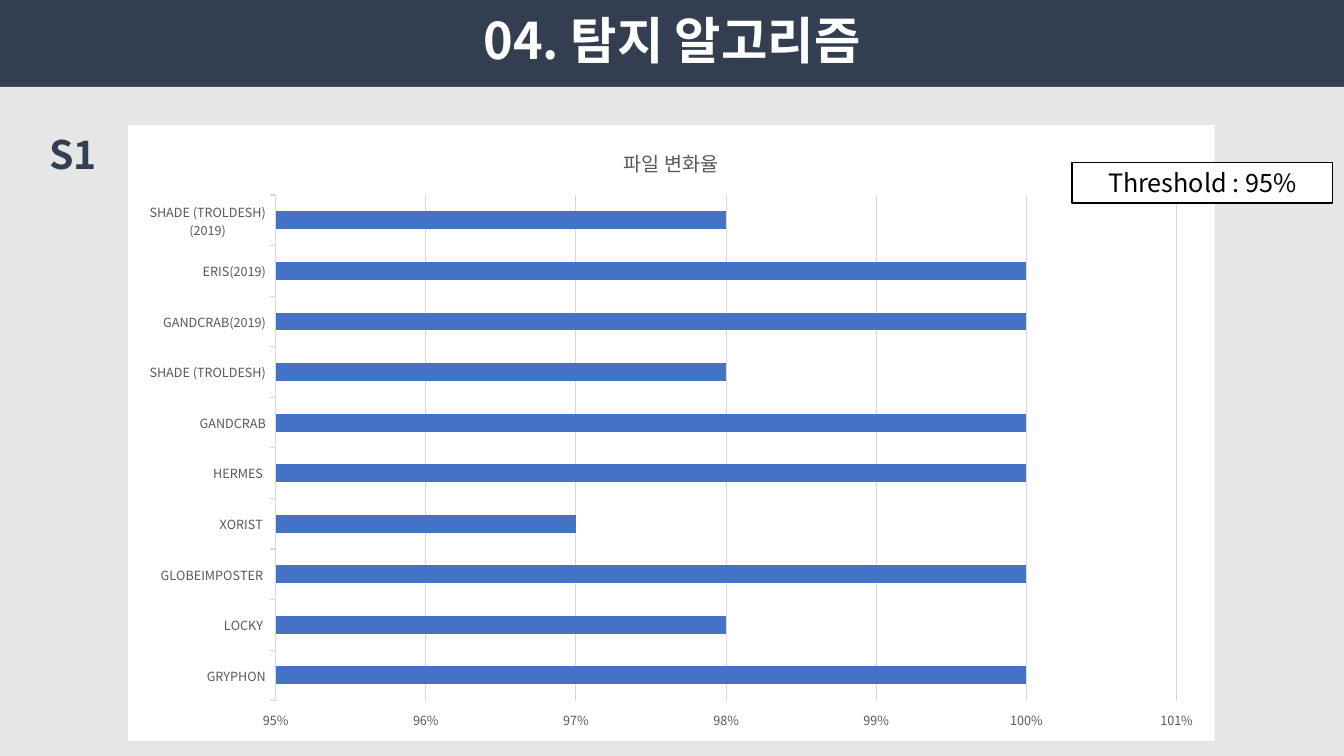
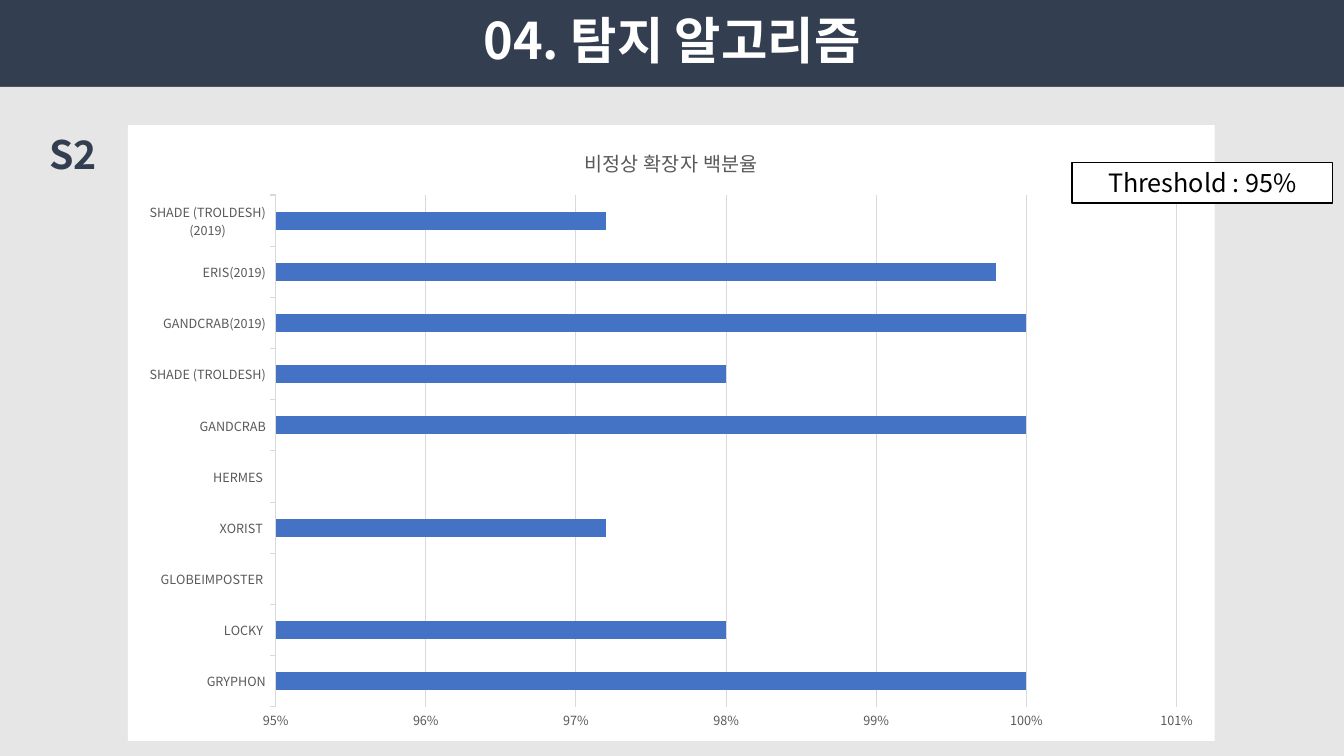
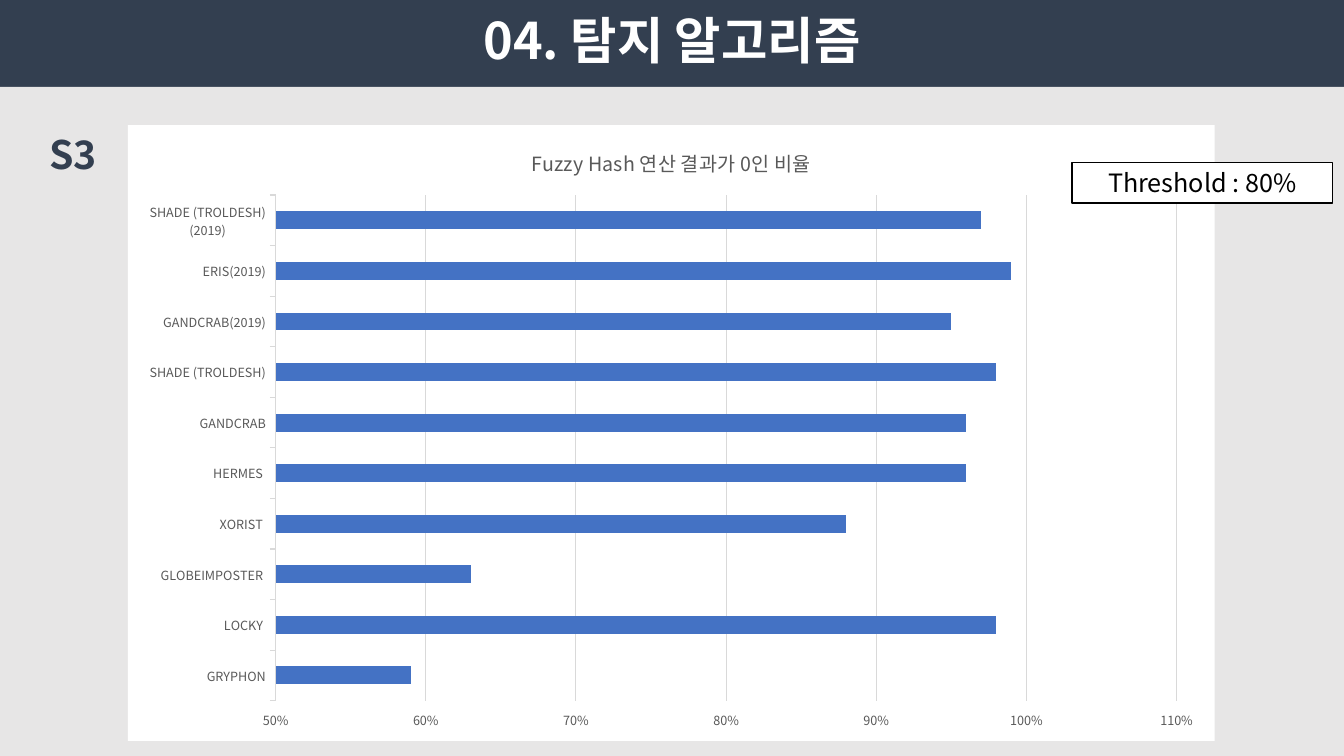
from dataclasses import dataclass

from lxml.etree import SubElement
from pptx import Presentation
from pptx.chart.data import CategoryChartData
from pptx.dml.color import RGBColor as RGB
from pptx.enum.chart import XL_CHART_TYPE as CT, XL_TICK_MARK as TICK
from pptx.enum.shapes import MSO_SHAPE as SHAPE
from pptx.enum.text import MSO_ANCHOR as ANCHOR, PP_ALIGN as ALIGN
from pptx.oxml import parse_xml
from pptx.oxml.ns import nsdecls, qn
from pptx.util import Cm, Pt

TITLE = "04. 탐지 알고리즘"
FAMILIES = ["GRYPHON", "LOCKY ", "GLOBEIMPOSTER ", "XORIST ", "HERMES ",
            "GANDCRAB", "SHADE (TROLDESH)", "GANDCRAB(2019)", "ERIS(2019)",
            "SHADE (TROLDESH) (2019)"]
STAGES = [
    dict(tag="S1", title="파일 변화율", threshold="95%", kind=CT.BAR_STACKED,
         low=0.95, high=1.01, step=0.01, tick=TICK.OUTSIDE,
         values=[1, 0.98, 1, 0.97, 1, 1, 0.98, 1, 1, 0.98]),
    dict(tag="S2", title="비정상 확장자 백분율", threshold="95%", kind=CT.BAR_CLUSTERED,
         low=0.95, high=1.01, step=0.01, tick=TICK.NONE,
         values=[1, 0.98, 0, 0.972, 0, 1, 0.98, 1, 0.998, 0.972]),
    dict(tag="S3", title="Fuzzy Hash 연산 결과가 0인 비율", threshold="80%", kind=CT.BAR_STACKED,
         low=0.5, high=1.1, step=0.1, tick=TICK.OUTSIDE,
         values=[0.59, 0.98, 0.63, 0.88, 0.96, 0.96, 0.98, 0.95, 0.99, 0.97]),
]


@dataclass(frozen=True)
class Theme:
    font: str = "Noto Sans CJK KR"
    navy: str = "333F50"
    panel: str = "E7E6E6"
    white: str = "FFFFFF"
    black: str = "000000"
    gray: str = "595959"
    grid: str = "D9D9D9"
    bar: str = "4472C4"
    title: int = 36
    tag: int = 28
    note: int = 18
    chart_title: int = 14
    axis: int = 9


T = Theme()
WIDTH, HEIGHT, BAND = Cm(33.87), Cm(19.05), Cm(2.19)
TITLE_BOX = Cm(2.33), 0, Cm(29.21), BAND
CHART_BOX = Cm(3.22), Cm(3.15), Cm(27.39), Cm(15.52)
TAG_BOX = Cm(1), Cm(3.15), Cm(19.28), Cm(1.45)
NOTE_BOX = Cm(27.02), Cm(4.09), Cm(6.56), Cm(1.03)


def style(font, size, color, bold=False):
    font.size, font.bold = Pt(size), bold
    font.color.rgb = RGB.from_string(color)
    font.name = T.font
    SubElement(font._rPr, qn("a:ea")).set("typeface", T.font)


def paint(fill, color):
    fill.solid()
    fill.fore_color.rgb = RGB.from_string(color)


def outline(line, color, width):
    paint(line.fill, color)
    line.width = Pt(width)


def write(tf, text, size, color, bold=False, align=ALIGN.LEFT, anchor=ANCHOR.TOP, spacing=1.0):
    tf.word_wrap, tf.vertical_anchor = True, anchor
    p = tf.paragraphs[0]
    p.alignment, p.line_spacing = align, spacing
    r = p.add_run()
    r.text = text
    style(r.font, size, color, bold)


def add_rect(s, box, fill):
    sp = s.shapes.add_shape(SHAPE.RECTANGLE, *box)
    sp.shadow.inherit = False
    paint(sp.fill, fill)
    sp.line.fill.background()
    return sp


def add_base(prs):
    s = prs.slides.add_slide(prs.slide_layouts[6])
    paint(s.background.fill, T.navy)
    add_rect(s, (0, BAND, WIDTH, HEIGHT - BAND), T.panel)
    write(s.shapes.add_textbox(*TITLE_BOX).text_frame, TITLE, T.title, T.white,
          bold=True, align=ALIGN.CENTER, anchor=ANCHOR.MIDDLE, spacing=0.9)
    return s


def add_bars(s, stage):
    data = CategoryChartData(number_format="0%")
    data.categories = FAMILIES
    data.add_series(stage["title"], stage["values"])
    chart = s.shapes.add_chart(stage["kind"], *CHART_BOX, data).chart
    style(chart.font, 10, T.black)
    chart.has_legend = False
    chart._chartSpace.find(qn("c:chart")).addnext(parse_xml(
        f'<c:spPr {nsdecls("c", "a")}><a:solidFill><a:srgbClr val="{T.white}"/></a:solidFill>'
        '<a:ln><a:noFill/></a:ln></c:spPr>'))

    chart.has_title = True
    write(chart.chart_title.text_frame, stage["title"], T.chart_title, T.gray, align=ALIGN.CENTER)
    chart.chart_title.include_in_layout = False

    plot = chart.plots[0]
    plot.gap_width, plot.vary_by_categories = 182, False
    if stage["kind"] == CT.BAR_STACKED:
        plot.overlap = 100
    paint(plot.series[0].format.fill, T.bar)

    cat, val = chart.category_axis, chart.value_axis
    for axis in (cat, val):
        style(axis.tick_labels.font, T.axis, T.gray)
    cat.major_tick_mark, val.major_tick_mark = TICK.OUTSIDE, stage["tick"]
    outline(cat.format.line, T.grid, 0.75)
    val.format.line.fill.background()
    outline(val.major_gridlines.format.line, T.grid, 0.75)
    val.minimum_scale, val.maximum_scale = stage["low"], stage["high"]
    val.major_unit = stage["step"]
    val.tick_labels.number_format = "0%"
    val.tick_labels.number_format_is_linked = False


def main():
    prs = Presentation()
    prs.slide_width, prs.slide_height = WIDTH, HEIGHT
    for stage in STAGES:
        s = add_base(prs)
        add_bars(s, stage)
        write(s.shapes.add_textbox(*TAG_BOX).text_frame, stage["tag"], T.tag, T.navy, bold=True)
        note = add_rect(s, NOTE_BOX, T.white)
        outline(note.line, T.black, 1)
        write(note.text_frame, f"Threshold : {stage['threshold']}", T.note, T.black,
              align=ALIGN.CENTER, anchor=ANCHOR.MIDDLE)
    prs.save("out.pptx")


if __name__ == "__main__":
    main()
